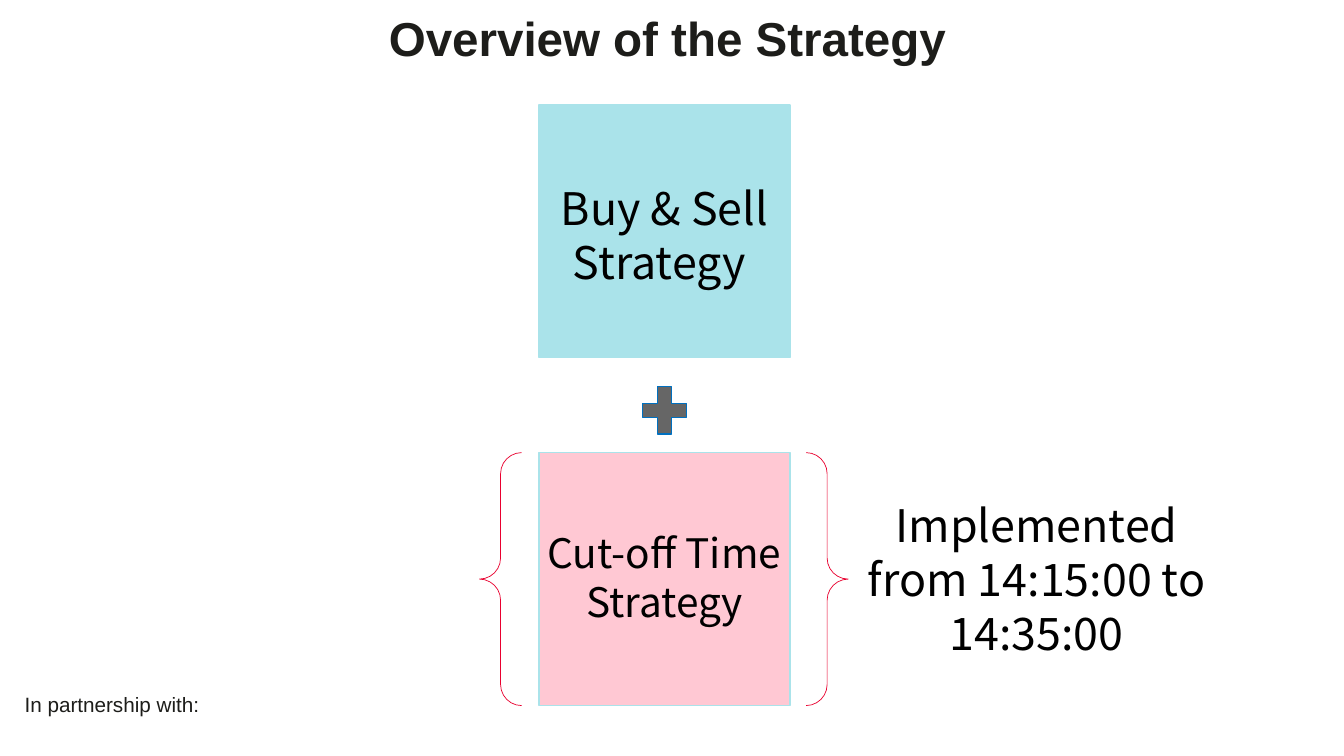
from pptx import Presentation
from pptx.dml.color import RGBColor
from pptx.enum.shapes import MSO_SHAPE as Geo
from pptx.enum.text import PP_ALIGN as Align
from pptx.util import Inches, Pt

SANS = "Noto Sans CJK SC"
DARK = "1D1D1A"


def color(code):
    return RGBColor.from_string(code)


def place(box):
    return [Inches(v) for v in box]


def add_text(slide, box, text, size, font=SANS, ink="000000", bold=False,
             align=Align.CENTER, space=None, before=0, inset=(0, 0)):
    frame = slide.shapes.add_textbox(*place(box)).text_frame
    frame.word_wrap = True
    frame.margin_left = frame.margin_right = Inches(inset[0])
    frame.margin_top = frame.margin_bottom = Inches(inset[1])
    frame.text = text
    for para in frame.paragraphs:
        para.alignment = align
        para.line_spacing = space
        para.space_before = Pt(before)
        for run in para.runs:
            run.font.name = font
            run.font.size = Pt(size)
            run.font.bold = bold
            run.font.color.rgb = color(ink)


def add_geo(slide, kind, box, fill, line, width=1):
    shape = slide.shapes.add_shape(kind, *place(box))
    shape.shadow.inherit = False
    if fill:
        shape.fill.solid()
        shape.fill.fore_color.rgb = color(fill)
    else:
        shape.fill.background()
    shape.line.color.rgb = color(line)
    shape.line.width = Pt(width)


def add_card(slide, box, fill, text, size):
    left, top, width, height = box
    add_geo(slide, Geo.RECTANGLE, box, fill, "AAE3EA")
    add_text(slide, (left, top + 0.75, width, height - 1.5), text, size)


def add_title(slide, box):
    add_text(slide, box, "Overview of the Strategy", 34, "Arial", DARK,
             bold=True, align=Align.LEFT, space=Pt(34.3))


def add_stack(slide, box):
    left, top, width, height = box
    side = 2.51
    low = top + height - side
    add_card(slide, (left, top, width, side), "AAE3EA",
             "Buy & Sell\nStrategy ", 32)
    add_card(slide, (left, low, width, side), "FFC8D3",
             "Cut-off Time\nStrategy", 29)
    add_geo(slide, Geo.MATH_PLUS, (left + 0.95, top + 2.71, 0.59, 0.64),
            "666666", "0070C0")
    add_geo(slide, Geo.DOUBLE_BRACE, (left - 0.59, low, width + 1.17, side),
            None, "E9002F", 0.5)
    add_text(slide, (left + width + 0.74, low + 0.45, 3.42, 1.62),
             "Implemented from 14:15:00 to 14:35:00", 32)


def add_footer(slide, box):
    add_text(slide, box, "In partnership with: ", 14.8, "Arial", DARK,
             space=0.8, before=10, inset=(0.1, 0.05))


def main():
    deck = Presentation()
    deck.slide_width = Inches(13.34)
    deck.slide_height = Inches(7.5)
    slide = deck.slides.add_slide(deck.slide_layouts[6])
    add_footer(slide, (0.01, 6.86, 2.26, 0.31))
    add_title(slide, (3.86, 0.18, 5.62, 0.49))
    add_stack(slide, (5.35, 1.04, 2.49, 5.96))
    deck.save("out.pptx")


if __name__ == "__main__":
    main()
